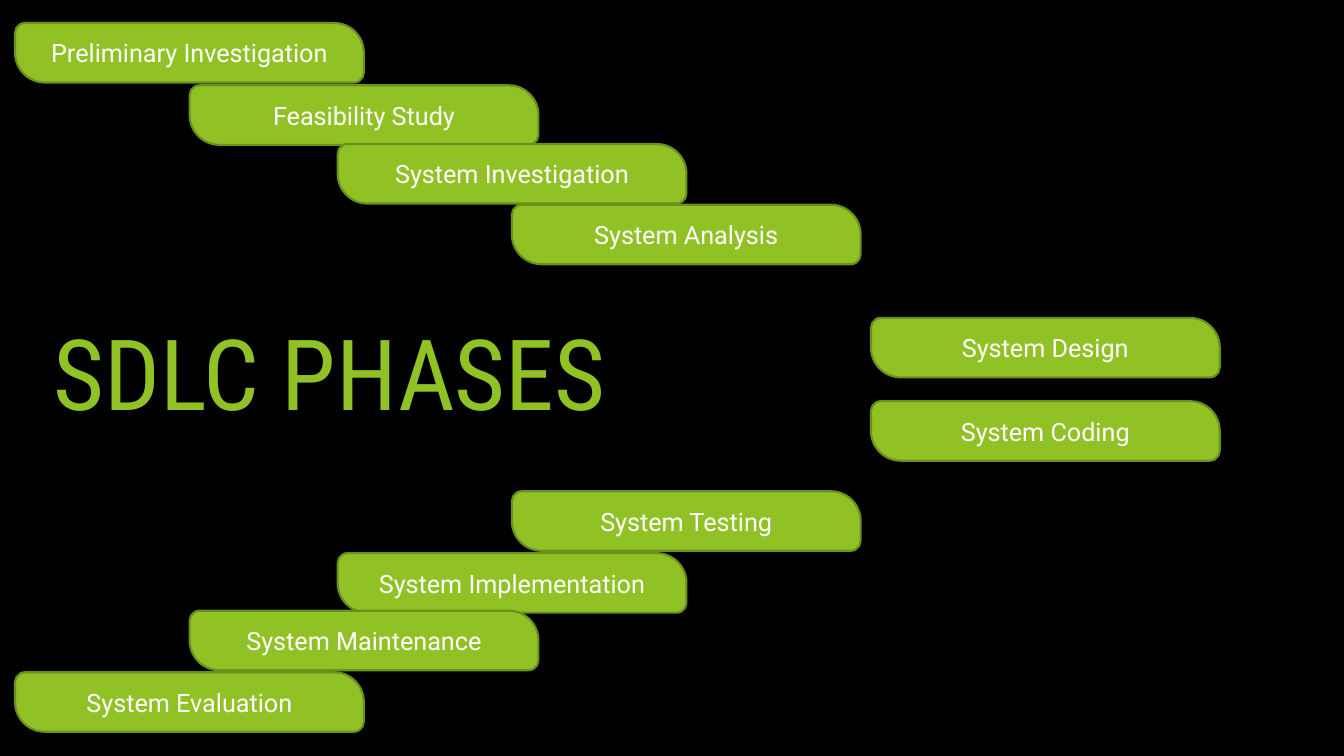
from dataclasses import dataclass

from pptx import Presentation
from pptx.dml.color import RGBColor
from pptx.enum.shapes import MSO_SHAPE
from pptx.enum.text import MSO_ANCHOR, PP_ALIGN
from pptx.slide import Slide
from pptx.text.text import TextFrame
from pptx.util import Cm, Pt

PHASE_SHAPE = MSO_SHAPE.ROUND_2_DIAG_RECTANGLE
MIDDLE, BOTTOM = MSO_ANCHOR.MIDDLE, MSO_ANCHOR.BOTTOM
CENTER, JUSTIFY = PP_ALIGN.CENTER, PP_ALIGN.JUSTIFY

COLORS = {
    "background": "000000",
    "green": "90C226",
    "outline": "6B901C",
    "white": "FFFFFF",
}
STEP_LEFTS = (0.38, 4.78, 8.51, 12.9, 21.95)
PHASE_WIDTH, PHASE_HEIGHT = 8.79, 1.5


@dataclass(frozen=True)
class Phase:
    name: str
    step: int
    top: float


PHASES = (
    Phase("Preliminary Investigation", 0, 0.58),
    Phase("Feasibility Study", 1, 2.15),
    Phase("System Investigation", 2, 3.63),
    Phase("System Analysis", 3, 5.16),
    Phase("System Design", 4, 8.01),
    Phase("System Coding", 4, 10.11),
    Phase("System Testing", 3, 12.38),
    Phase("System Implementation", 2, 13.94),
    Phase("System Maintenance", 1, 15.39),
    Phase("System Evaluation", 0, 16.94),
)


def color(name: str) -> RGBColor:
    return RGBColor.from_string(COLORS[name])


def write_text(frame: TextFrame, text: str, font: str, size: float,
               color_name: str, alignment: PP_ALIGN, anchor: MSO_ANCHOR) -> None:
    frame.word_wrap = True
    frame.vertical_anchor = anchor
    paragraph = frame.paragraphs[0]
    paragraph.alignment = alignment
    run = paragraph.add_run()
    run.text = text
    run.font.name = font
    run.font.size = Pt(size)
    run.font.color.rgb = color(color_name)


def draw_phase(slide: Slide, phase: Phase) -> None:
    shape = slide.shapes.add_shape(
        PHASE_SHAPE, Cm(STEP_LEFTS[phase.step]), Cm(phase.top),
        Cm(PHASE_WIDTH), Cm(PHASE_HEIGHT))
    shape.adjustments[0] = 0.167
    shape.adjustments[1] = 0.5
    shape.shadow.inherit = False
    shape.fill.solid()
    shape.fill.fore_color.rgb = color("green")
    shape.line.color.rgb = color("outline")
    shape.line.width = Pt(1.5)
    write_text(shape.text_frame, phase.name, "Roboto", 18, "white", CENTER, MIDDLE)


def draw_title(slide: Slide) -> None:
    title = slide.shapes.add_textbox(Cm(1.09), Cm(6.88), Cm(20.09), Cm(4.09))
    write_text(title.text_frame, "SDLC PHASES", "Roboto Condensed", 70.2,
               "green", JUSTIFY, BOTTOM)


presentation = Presentation()
presentation.slide_width = Cm(33.87)
presentation.slide_height = Cm(19.05)
slide = presentation.slides.add_slide(presentation.slide_layouts[6])
slide.background.fill.solid()
slide.background.fill.fore_color.rgb = color("background")
for phase in PHASES:
    draw_phase(slide, phase)
draw_title(slide)
presentation.save("out.pptx")
